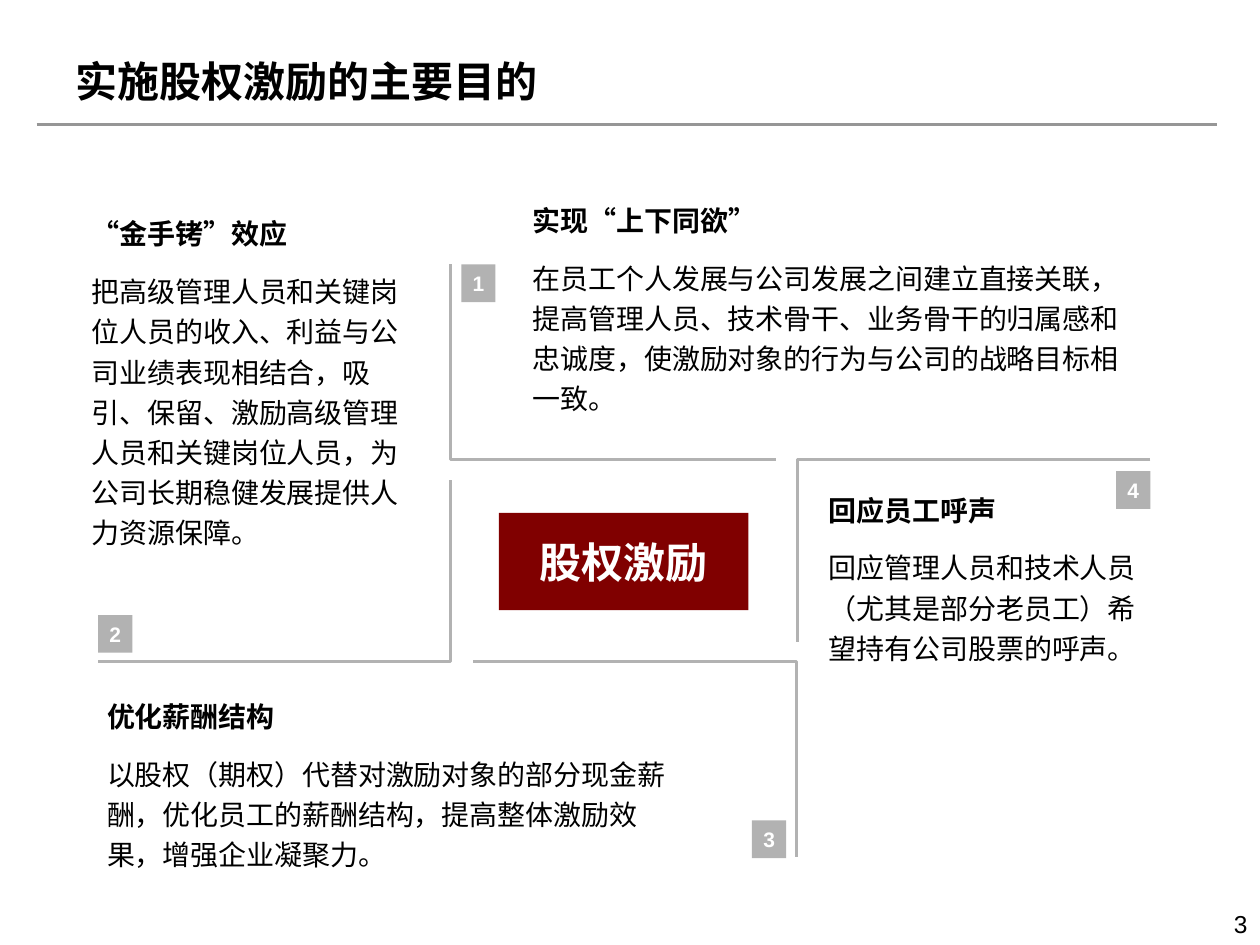
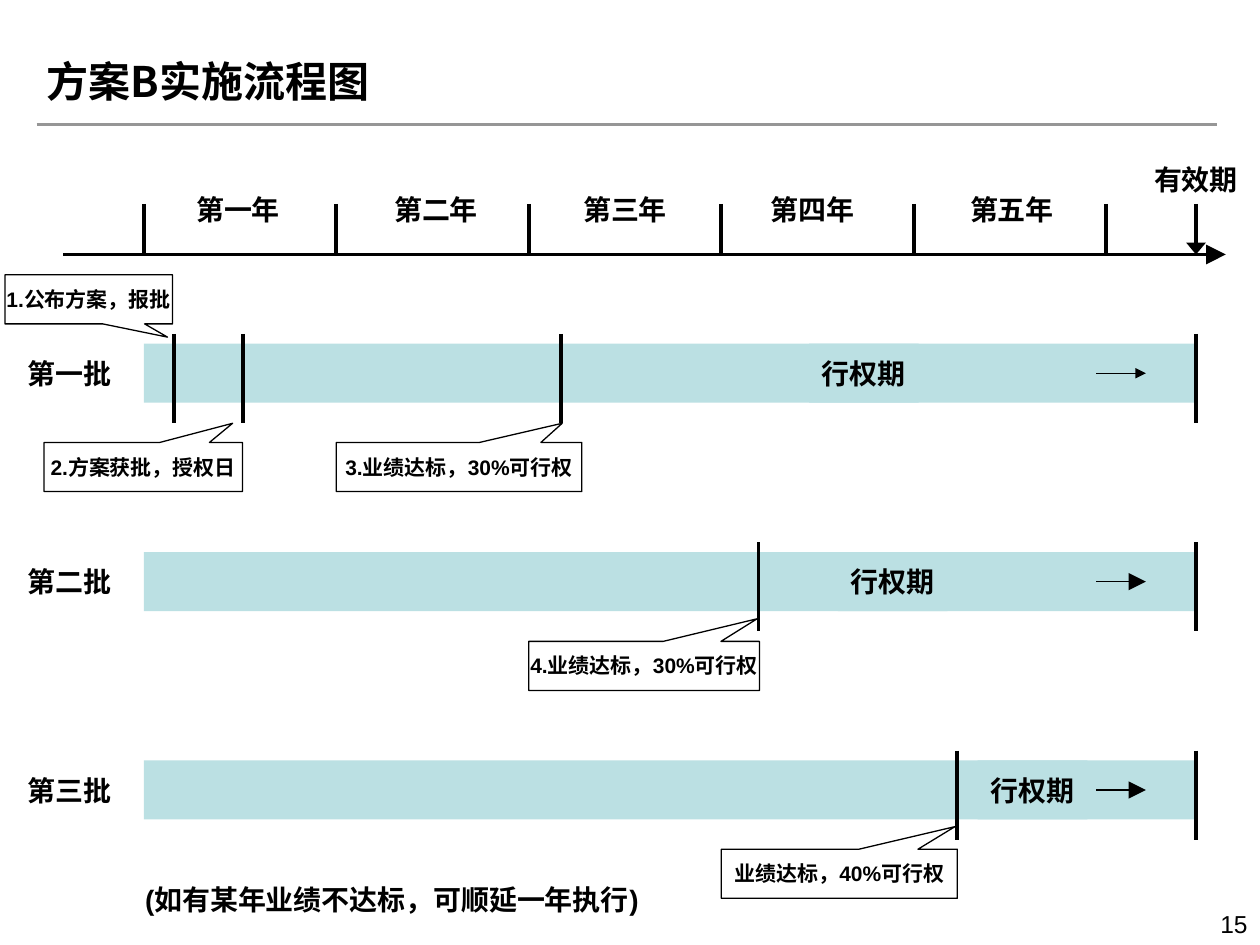
"""Build two slides on equity incentives: their goals and the plan B timeline."""
from itertools import groupby

from lxml import etree
from pptx import Presentation
from pptx.dml.color import RGBColor
from pptx.enum.shapes import MSO_CONNECTOR, MSO_SHAPE
from pptx.enum.text import MSO_ANCHOR, PP_ALIGN
from pptx.oxml.ns import qn
from pptx.util import Cm, Pt

STRAIGHT = MSO_CONNECTOR.STRAIGHT
RECTANGLE, CALLOUT = MSO_SHAPE.RECTANGLE, MSO_SHAPE.RECTANGULAR_CALLOUT
TOP, MIDDLE = MSO_ANCHOR.TOP, MSO_ANCHOR.MIDDLE
LEFT, CENTER, RIGHT = PP_ALIGN.LEFT, PP_ALIGN.CENTER, PP_ALIGN.RIGHT

COLORS = {"ink": "000000", "white": "FFFFFF", "rule": "969696",
          "bracket": "B2B2B2", "core": "800000", "bar": "BBE0E3"}
LATIN, CJK = "Arial", "Noto Sans CJK SC"
QUOTES = "“”"

PADDED = {"margin_left": Cm(0.25), "margin_right": Cm(0.25),
          "margin_top": Cm(0.13), "margin_bottom": Cm(0.13)}
TIGHT = dict.fromkeys(PADDED, 0)
TITLE = {"frame": {**PADDED, "word_wrap": True, "vertical_anchor": MIDDLE},
         "para": {"alignment": LEFT}, "font": {"size": Pt(24), "bold": True}}
PAGE = {"frame": {**PADDED, "word_wrap": True, "vertical_anchor": TOP},
        "para": {"alignment": RIGHT}, "font": {"size": Pt(14), "bold": False}}
BODY = {"frame": {**PADDED, "word_wrap": True, "vertical_anchor": TOP},
        "para": {"alignment": LEFT, "line_spacing": Pt(23), "space_after": Pt(5)},
        "font": {"size": Pt(16), "bold": True}}
LABEL = {"frame": {**PADDED, "word_wrap": False, "vertical_anchor": MIDDLE},
         "para": {"alignment": CENTER}, "font": {"size": Pt(16), "bold": True}}
BADGE = {"frame": {**TIGHT, "word_wrap": False, "vertical_anchor": MIDDLE},
         "para": {"alignment": CENTER}, "font": {"size": Pt(12), "bold": True}}
CORE = {**BADGE, "font": {"size": Pt(24), "bold": True}}
STEP = {"frame": {**TIGHT, "word_wrap": True, "vertical_anchor": MIDDLE},
        "para": {"alignment": CENTER, "line_spacing": Pt(14)},
        "font": {"size": Pt(12), "bold": True}}
MEDIUM_HEAD = {"type": "triangle"}
WIDE_HEAD = {"type": "triangle", "w": "lg"}
LARGE_HEAD = {"type": "triangle", "w": "lg", "len": "lg"}

GOALS = [
    {"number": "1", "badge": (9.3, 5.33), "box": (10.49, 3.84, 12.5, 4.67),
     "bracket": [(9.09, 5.33), (9.09, 9.27), (15.65, 9.27)],
     "heading": "实现“上下同欲”",
     "detail": "在员工个人发展与公司发展之间建立直接关联，提高管理人员、技术骨干、业务骨干的"
               "归属感和忠诚度，使激励对象的行为与公司的战略目标相一致。"},
    {"number": "2", "badge": (1.98, 12.4), "box": (1.6, 4.11, 7.11, 7.11),
     "bracket": [(1.98, 13.34), (9.09, 13.34), (9.09, 9.67)],
     "heading": "“金手铐”效应",
     "detail": "把高级管理人员和关键岗位人员的收入、利益与公司业绩表现相结合，吸引、保留、"
               "激励高级管理人员和关键岗位人员，为公司长期稳健发展提供人力资源保障。"},
    {"number": "3", "badge": (15.16, 16.54), "box": (1.91, 13.84, 12.32, 3.86),
     "bracket": [(16.05, 17.27), (16.05, 13.34), (9.53, 13.34)],
     "heading": "优化薪酬结构",
     "detail": "以股权（期权）代替对激励对象的部分现金薪酬，优化员工的薪酬结构，"
               "提高整体激励效果，增强企业凝聚力。"},
    {"number": "4", "badge": (22.5, 9.5), "box": (16.46, 9.68, 6.83, 5.03),
     "bracket": [(23.19, 9.27), (16.08, 9.27), (16.08, 12.95)],
     "heading": "回应员工呼声",
     "detail": "回应管理人员和技术人员（尤其是部分老员工）希望持有公司股票的呼声。"},
]

YEARS = [("第一年", 4.8), ("第二年", 8.79), ("第三年", 12.6),
         ("第四年", 16.38), ("第五年", 20.4)]
BATCHES = [("第一批", 16.31, [3.51, 4.9, 11.3], MEDIUM_HEAD),
           ("第二批", 16.89, [15.29], LARGE_HEAD),
           ("第三批", 19.71, [19.3], LARGE_HEAD)]
STEPS = [("1.公布方案，报批", 0.1, 5.54, 3.38, (0.47, 0.77)),
         ("2.方案获批，授权日", 0.89, 8.92, 4, (0.45, -0.89)),
         ("3.业绩达标，30%可行权", 6.78, 8.92, 4.95, (0.42, -0.89)),
         ("4.业绩达标，30%可行权", 10.66, 12.93, 4.65, (0.49, -0.96)),
         ("业绩达标，40%可行权", 14.54, 17.12, 4.76, (0.49, -0.96))]
START_X, YEAR_WIDTH, END_X = 2.9, 3.88, 24.11
TICK_TOP, AXIS_Y = 4.11, 5.13
BATCH_TOP, BATCH_STEP, BATCH_HEIGHT = 6.93, 4.2, 1.19
LABEL_WIDTH, LABEL_HEIGHT = 2.57, 0.99


def rgb(color):
    return RGBColor.from_string(COLORS[color])


def apply(target, values):
    for name, value in values.items():
        setattr(target, name, value)


def write(holder, paragraphs, style, color="ink", latin=LATIN):
    frame = holder.text_frame
    apply(frame, style["frame"])
    for index, text in enumerate(paragraphs):
        para = frame.add_paragraph() if index else frame.paragraphs[0]
        apply(para, style["para"])
        para._p.get_or_add_pPr().set("hangingPunct", "0")
        if index:
            para.space_before = Pt(5)
        for quoted, letters in groupby(text, lambda letter: letter in QUOTES):
            run = para.add_run()
            run.text = "".join(letters)
            apply(run.font, {**style["font"], "name": CJK if quoted else latin})
            if index:
                run.font.bold = False
            run.font.color.rgb = rgb(color)
            etree.SubElement(run._r.get_or_add_rPr(), qn("a:ea"), typeface=CJK)


def add_text(slide, box, paragraphs, style, latin=LATIN):
    write(slide.shapes.add_textbox(*map(Cm, box)), paragraphs, style, latin=latin)


def add_label(slide, text, center, top, height=LABEL_HEIGHT, width=LABEL_WIDTH):
    add_text(slide, (center - width / 2, top, width, height), [text], LABEL)


def outline(shape, color, width):
    shape.line.color.rgb = rgb(color)
    shape.line.width = Pt(width)


def add_block(slide, box, fill):
    block = slide.shapes.add_shape(RECTANGLE, *map(Cm, box))
    block.shadow.inherit = False
    block.fill.solid()
    block.fill.fore_color.rgb = rgb(fill)
    block.line.fill.background()
    return block


def add_line(slide, start, end, color="ink", width=2.25, head=None):
    line = slide.shapes.add_connector(STRAIGHT, *map(Cm, (*start, *end)))
    outline(line, color, width)
    if head:
        etree.SubElement(line.line._get_or_add_ln(), qn("a:tailEnd"), head)
    etree.SubElement(line._element.spPr, qn("a:effectLst"))


def add_bracket(slide, points):
    first, *rest = [tuple(map(Cm, point)) for point in points]
    builder = slide.shapes.build_freeform(*first)
    builder.add_line_segments(rest, close=False)
    bracket = builder.convert_to_shape()
    bracket.shadow.inherit = False
    bracket.fill.background()
    outline(bracket, "bracket", 1.75)


def add_step(slide, text, left, top, width, pointer):
    step = slide.shapes.add_shape(CALLOUT, *map(Cm, (left, top, width, LABEL_HEIGHT)))
    step.shadow.inherit = False
    step.fill.background()
    outline(step, "ink", 0.75)
    for index, value in enumerate(pointer):
        step.adjustments[index] = value
    write(step, [text], STEP)


def start_slide(deck, title, title_left, page, latin=LATIN):
    slide = deck.slides.add_slide(deck.slide_layouts[6])
    add_text(slide, (19.48, 18.19, 5.92, 1.32), [page], PAGE)
    add_line(slide, (0.74, 2.51), (24.54, 2.51), "rule")
    add_text(slide, (title_left, 0.76, 20.32, 1.75), [title], TITLE, latin)
    return slide


def build_goals(deck):
    slide = start_slide(deck, "实施股权激励的主要目的", 1.27, "3")
    write(add_block(slide, (10.06, 10.34, 5.03, 1.96), "core"), ["股权激励"], CORE, "white")
    for goal in GOALS:
        add_bracket(slide, goal["bracket"])
        badge = add_block(slide, (*goal["badge"], 0.69, 0.76), "bracket")
        write(badge, [goal["number"]], BADGE, "white")
        add_text(slide, goal["box"], [goal["heading"], goal["detail"]], BODY)


def build_timeline(deck):
    slide = start_slide(deck, "方案B实施流程图", 0.69, "15", CJK)
    add_line(slide, (1.27, AXIS_Y), (24.71, AXIS_Y), head=LARGE_HEAD)
    for index in range(len(YEARS) + 1):
        tick_x = START_X + index * YEAR_WIDTH
        add_line(slide, (tick_x, TICK_TOP), (tick_x, AXIS_Y))
    for year, center in YEARS:
        add_label(slide, year, center, 3.73)
    add_label(slide, "有效期", END_X, 3.12)
    add_line(slide, (END_X, TICK_TOP), (END_X, AXIS_Y), head=WIDE_HEAD)

    for index, (batch, exercise_left, milestones, head) in enumerate(BATCHES):
        top = BATCH_TOP + index * BATCH_STEP
        add_block(slide, (START_X, top, END_X - START_X, BATCH_HEIGHT), "bar")
        add_label(slide, batch, 1.4, top, BATCH_HEIGHT)
        exercise = add_block(slide, (exercise_left, top, 2.21, BATCH_HEIGHT), "bar")
        write(exercise, ["行权期"], LABEL)
        for milestone_x in (*milestones, END_X):
            add_line(slide, (milestone_x, top - 0.2), (milestone_x, top + 1.6))
        arrow_y = top + BATCH_HEIGHT / 2
        add_line(slide, (22.1, arrow_y), (23.1, arrow_y), width=0.75, head=head)
    for step in STEPS:
        add_step(slide, *step)
    add_label(slide, "(如有某年业绩不达标，可顺延一年执行)", 7.9, 17.53, BATCH_HEIGHT, 11.4)


def main():
    deck = Presentation()
    deck.slide_width, deck.slide_height = Cm(25.4), Cm(19.05)
    build_goals(deck)
    build_timeline(deck)
    deck.save("out.pptx")


if __name__ == "__main__":
    main()
